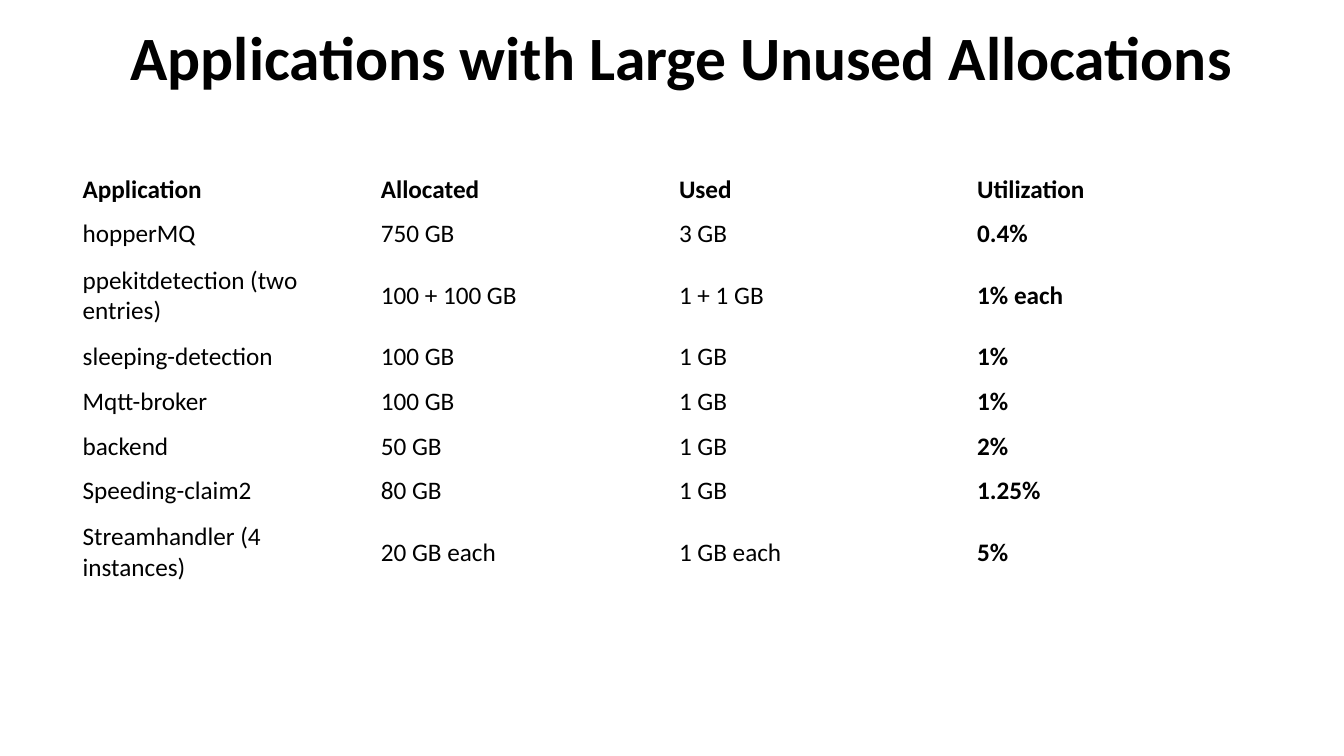
import pptx
import pptx.dml.color
import pptx.enum.text
import pptx.util

BLACK = pptx.dml.color.RGBColor(0x00, 0x00, 0x00)
ANCHOR = pptx.enum.text.MSO_ANCHOR
ALIGN = pptx.enum.text.PP_ALIGN

ROWS = [
    ("Application", "Allocated", "Used", "Utilization"),
    ("hopperMQ", "750 GB", "3 GB", "0.4%"),
    ("ppekitdetection (two entries)", "100 + 100 GB", "1 + 1 GB", "1% each"),
    ("sleeping-detection", "100 GB", "1 GB", "1%"),
    ("Mqtt-broker", "100 GB", "1 GB", "1%"),
    ("backend", "50 GB", "1 GB", "2%"),
    ("Speeding-claim2", "80 GB", "1 GB", "1.25%"),
    ("Streamhandler (4 instances)", "20 GB each", "1 GB each", "5%"),
]
TWO_LINE_ROWS = {2, 7}


def write(tf, text, size=18, bold=False, color=BLACK, font="Calibri",
          align=ALIGN.LEFT, spacing=None):
    p = tf.paragraphs[0]
    p.alignment = align
    if spacing:
        p.line_spacing = spacing
    r = p.add_run()
    r.text = text
    r.font.name = font
    r.font.size = pptx.util.Pt(size)
    r.font.bold = bold
    r.font.color.rgb = color


class Deck:
    title_size = 44
    body_size = 18

    def __init__(self, width, height):
        self.prs = pptx.Presentation()
        self.prs.slide_width = pptx.util.Inches(width)
        self.prs.slide_height = pptx.util.Inches(height)
        self.s = None

    def x(self, percent):
        return round(self.prs.slide_width * percent / 100)

    def y(self, percent):
        return round(self.prs.slide_height * percent / 100)

    def slide(self):
        self.s = self.prs.slides.add_slide(self.prs.slide_layouts[5])

    def title(self, text, left, top, width, height):
        sp = self.s.shapes.title
        sp.left, sp.top = self.x(left), self.y(top)
        sp.width, sp.height = self.x(width), self.y(height)
        tf = sp.text_frame
        tf.word_wrap = True
        tf.vertical_anchor = ANCHOR.MIDDLE
        write(tf, text, size=self.title_size, bold=True,
              align=ALIGN.CENTER, spacing=0.9)

    def table(self, rows, left, top, width, heights):
        columns = len(rows[0])
        table = self.s.shapes.add_table(
            len(rows), columns, self.x(left), self.y(top),
            self.x(width), self.y(sum(heights))).table
        table.first_row = False
        table.horz_banding = False
        for column in table.columns:
            column.width = self.x(width / columns)
        for i, (values, height) in enumerate(zip(rows, heights)):
            table.rows[i].height = self.y(height)
            for j, value in enumerate(values):
                cell = table.cell(i, j)
                cell.fill.background()
                cell.vertical_anchor = ANCHOR.MIDDLE
                write(cell.text_frame, value, size=self.body_size,
                      bold=i == 0 or j == columns - 1)


def main():
    deck = Deck(13.33, 7.5)
    deck.slide()
    deck.title("Applications with Large Unused Allocations",
               8.33, 1.87, 84.85, 12.27)
    heights = [10.4 if i in TWO_LINE_ROWS else 5.9 for i in range(len(ROWS))]
    deck.table(ROWS, 5.4, 22.13, 88.75, heights)
    deck.prs.save("out.pptx")


if __name__ == "__main__":
    main()
